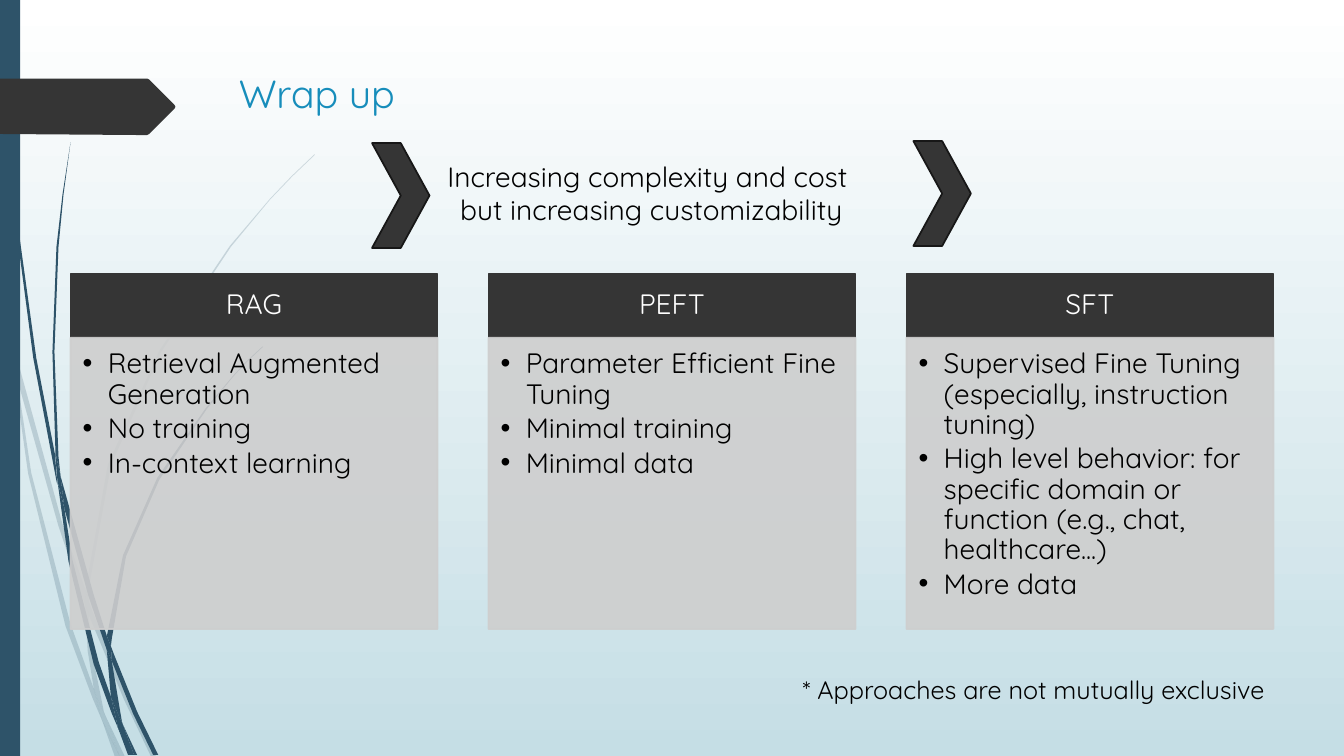
from collections import namedtuple

from lxml import etree
from pptx import Presentation
from pptx import util as u
from pptx.dml.color import RGBColor
from pptx.enum import shapes, text
from pptx.oxml.ns import qn

Box = namedtuple("Box", "left top width height")

FONT = "Quicksand"
COLORS = {
    "sky_top": "FFFFFF", "sky_bottom": "C5DEE5", "reed": "2E5369",
    "dark": "353535", "edge": "171717", "panel": "CECECE",
    "title": "178DBB", "white": "FFFFFF", "black": "000000",
}
COLUMNS = [
    ("RAG", ["Retrieval Augmented Generation", "No training", "In-context learning"]),
    ("PEFT", ["Parameter Efficient Fine Tuning", "Minimal training", "Minimal data"]),
    ("SFT", ["Supervised Fine Tuning (especially, instruction tuning)",
             "High level behavior: for specific domain or function (e.g., chat, healthcare...)",
             "More data"]),
]

# Outlines in hundredths of an inch
PALE_REEDS = [
    [(11, 350), (9, 322), (0, 282), (0, 299), (10, 344)],
    [(58, 522), (84, 599), (85, 586), (62, 520), (14, 345), (17, 376)],
    [(92, 607), (88, 596), (88, 610), (123, 694), (150, 751), (155, 751), (127, 692)],
    [(119, 751), (124, 751), (105, 711)],
    [(93, 683), (70, 619), (31, 469), (17, 376), (11, 350), (28, 470), (65, 621),
     (92, 693), (101, 714), (99, 707)],
    [(84, 599), (87, 646), (93, 683), (96, 692), (105, 711), (103, 706), (91, 646),
     (88, 610), (88, 608)],
    [(88, 584), (110, 462), (160, 349), (229, 245), (268, 198), (290, 175), (312, 154),
     (312, 153), (289, 175), (268, 197), (228, 244), (158, 348), (107, 461), (85, 584),
     (85, 586), (88, 596)],
    [(101, 714), (114, 751), (119, 751)],
    [(88, 608), (88, 610), (88, 596), (85, 586), (84, 599)],
    [(96, 692), (93, 683), (99, 707), (101, 714), (119, 751), (105, 711)],
]
DARK_REEDS = [
    [(7, 110), (17, 233), (33, 355), (56, 477), (57, 481), (55, 457), (55, 453), (36, 355),
     (19, 232), (8, 109), (5, 48), (4, 0), (3, 0), (4, 48)],
    [(88, 592), (106, 645), (106, 633), (106, 631), (93, 590), (60, 472), (64, 505)],
    [(113, 649), (110, 641), (111, 656), (132, 708), (152, 749), (157, 749), (136, 706)],
    [(110, 691), (98, 657), (72, 556), (64, 505), (57, 477), (68, 557), (93, 659),
     (111, 708), (117, 722), (116, 717)],
    [(60, 472), (58, 453), (54, 349), (58, 245), (63, 193), (70, 141), (62, 193),
     (56, 245), (52, 349), (55, 449)],
    [(133, 749), (136, 749), (122, 719)],
    [(57, 477), (64, 505), (60, 472), (55, 449), (55, 453)],
    [(111, 633), (125, 552), (158, 476), (205, 406), (231, 374), (245, 359), (261, 344),
     (260, 344), (245, 358), (231, 373), (204, 405), (156, 474), (122, 551), (106, 631),
     (110, 641)],
    [(117, 722), (127, 749), (131, 749)],
    [(106, 645), (110, 691), (116, 706), (122, 719), (121, 716), (111, 656), (109, 651)],
    [(106, 645), (109, 651), (111, 656), (110, 641), (106, 631), (106, 633)],
    [(116, 706), (110, 691), (116, 717), (117, 722), (130, 749), (133, 749), (122, 719)],
]
TAG = [(173, 108), (148, 133), (146, 134), (136, 134), (0, 133), (0, 78), (146, 78),
       (148, 79), (173, 104), (174, 106)]


def rgb(name):
    return RGBColor.from_string(COLORS[name])


def set_values(target, values):
    for name, value in values.items():
        setattr(target, name, value)


def set_alpha(fill_owner, percent):
    color = next(fill_owner.iter(qn("a:srgbClr")))
    etree.SubElement(color, qn("a:alpha"), val=str(percent * 1000))


def paint(shape, color, line=None, alpha=100):
    shape.shadow.inherit = False
    shape.fill.solid()
    shape.fill.fore_color.rgb = rgb(color)
    if line:
        shape.line.color.rgb = rgb(line)
        shape.line.width = u.Pt(1.25)
    else:
        shape.line.fill.background()
    if alpha < 100:
        properties = shape.fill._xPr
        set_alpha(properties.find(qn("a:solidFill")), alpha)
        if line:
            set_alpha(properties.find(qn("a:ln")), alpha)


def add_preset(slide, preset, box, color, **look):
    shape = slide.shapes.add_shape(preset, *map(u.Inches, box))
    paint(shape, color, **look)
    return shape


def add_outline(slide, points, color, alpha=100):
    builder = slide.shapes.build_freeform(*points[0], scale=u.Inches(0.01))
    builder.add_line_segments(points[1:], close=True)
    paint(builder.convert_to_shape(), color, alpha=alpha)


def add_bullet(paragraph):
    properties = paragraph._p.get_or_add_pPr()
    properties.set("marL", str(u.Inches(0.25)))
    properties.set("indent", str(-u.Inches(0.25)))
    etree.SubElement(properties, qn("a:buFont"), typeface="Arial")
    etree.SubElement(properties, qn("a:buChar"), char="•")


def write(shape, lines, size, color, layout, insets=(0.1, 0.05, 0.1, 0.05),
          anchor=text.MSO_ANCHOR.TOP, bullets=False):
    frame = shape.text_frame
    sides = ("margin_left", "margin_top", "margin_right", "margin_bottom")
    set_values(frame, {"word_wrap": True, "vertical_anchor": anchor,
                       **dict(zip(sides, map(u.Inches, insets)))})
    for index, line in enumerate(lines):
        paragraph = frame.add_paragraph() if index else frame.paragraphs[0]
        set_values(paragraph, layout)
        if bullets:
            add_bullet(paragraph)
        run = paragraph.add_run()
        run.text = line
        set_values(run.font, {"name": FONT, "size": u.Pt(size)})
        run.font.color.rgb = rgb(color)


def add_label(slide, box, lines, size, color, alignment):
    label = slide.shapes.add_textbox(*map(u.Inches, box))
    write(label, lines, size, color, {"alignment": alignment})


def add_backdrop(slide, box):
    fill = slide.background.fill
    fill.gradient()
    fill.gradient_angle = 270
    for stop, name in zip(fill.gradient_stops, ("sky_top", "sky_bottom")):
        stop.color.rgb = rgb(name)
    for reeds, alpha in ((PALE_REEDS, 20), (DARK_REEDS, 100)):
        for points in reeds:
            add_outline(slide, points, "reed", alpha)
    # Side band and title tag
    add_preset(slide, shapes.MSO_SHAPE.RECTANGLE, box._replace(width=0.2), "reed")
    add_outline(slide, TAG, "dark")


def add_column(slide, box, heading, points):
    heading_height = 0.63
    header = add_preset(slide, shapes.MSO_SHAPE.RECTANGLE,
                        box._replace(height=heading_height), "dark", line="dark")
    write(header, [heading], 20, "white",
          {"alignment": text.PP_ALIGN.CENTER, "line_spacing": 0.9},
          (0.16, 0.09, 0.16, 0.09), text.MSO_ANCHOR.MIDDLE)
    body_box = box._replace(top=box.top + heading_height, height=box.height - heading_height)
    body = add_preset(slide, shapes.MSO_SHAPE.RECTANGLE, body_box, "panel",
                      line="panel", alpha=90)
    write(body, points, 20, "black",
          {"alignment": text.PP_ALIGN.LEFT, "line_spacing": 0.9, "space_after": u.Pt(3)},
          (0.12, 0.12, 0.16, 0.17), bullets=True)


def add_columns(slide, box):
    width = 3.64
    step = (box.width - width) / (len(COLUMNS) - 1)
    for index, (heading, points) in enumerate(COLUMNS):
        column = box._replace(left=box.left + index * step, width=width)
        add_column(slide, column, heading, points)


def add_trend(slide, box):
    add_label(slide, box, ["Increasing complexity and cost ", "but increasing customizability"],
              20, "black", text.PP_ALIGN.CENTER)
    for across, down in ((6.47, -0.13), (1.1, -0.11)):
        chevron = Box(box.left + across, box.top + down, 0.57, 1.04)
        add_preset(slide, shapes.MSO_SHAPE.CHEVRON, chevron, "dark", line="edge")


def main():
    presentation = Presentation()
    set_values(presentation, {"slide_width": u.Inches(13.33), "slide_height": u.Inches(7.5)})
    slide = presentation.slides.add_slide(presentation.slide_layouts[6])
    add_backdrop(slide, Box(0, 0, 13.33, 7.5))
    add_label(slide, Box(2.27, 0.64, 10.69, 1.07), ["Wrap up"], 28, "title",
              text.PP_ALIGN.LEFT)
    add_columns(slide, Box(0.7, 2.72, 11.93, 3.52))
    add_trend(slide, Box(2.59, 1.53, 7.74, 0.77))
    add_label(slide, Box(7.34, 6.64, 5.3, 0.4), ["* Approaches are not mutually exclusive"],
              18, "black", text.PP_ALIGN.RIGHT)
    presentation.save("out.pptx")


if __name__ == "__main__":
    main()
